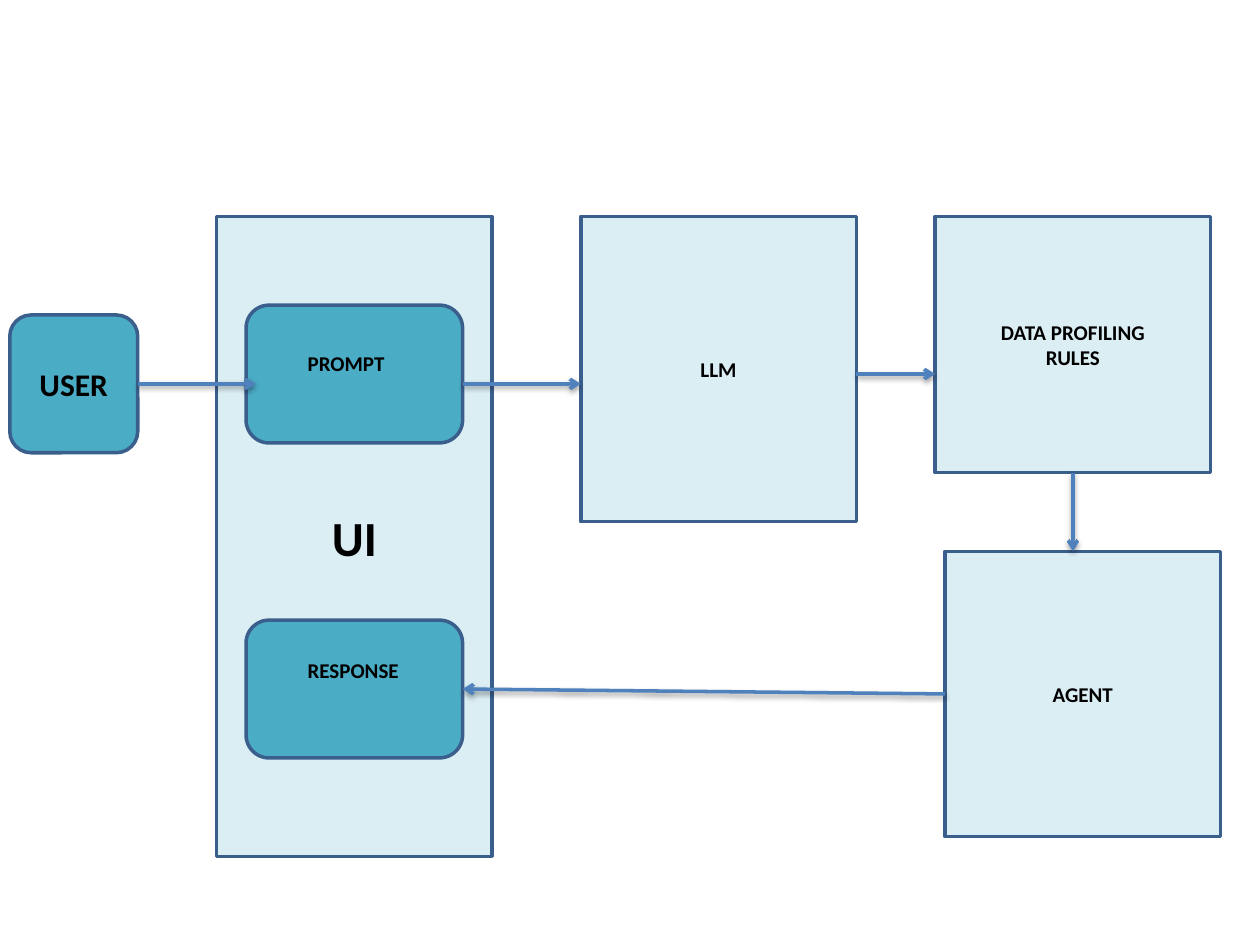
import pptx
import pptx.util
import pptx.dml.color
import pptx.enum.shapes
import pptx.enum.text
import lxml.etree
import pptx.oxml.ns

RGBColor = pptx.dml.color.RGBColor
PALE = RGBColor(0xDB, 0xEE, 0xF4)
TEAL = RGBColor(0x4B, 0xAC, 0xC6)
BORDER = RGBColor(0x3A, 0x5F, 0x8C)
ARROW = RGBColor(0x4F, 0x81, 0xBD)
BLACK = RGBColor(0, 0, 0)

SHAPE = pptx.enum.shapes.MSO_SHAPE
ALIGN = pptx.enum.text.PP_ALIGN
COLUMNS = 128
BLANK_LAYOUT = 6


class FlowDiagram:
    font_format = {"name": "Calibri", "bold": True}
    line_width = pptx.util.Pt(2)

    def __init__(self):
        self.deck = pptx.Presentation()
        self.deck.slide_width = pptx.util.Inches(10)
        self.deck.slide_height = pptx.util.Inches(7.5)
        self.slide = self.deck.slides.add_slide(self.deck.slide_layouts[BLANK_LAYOUT])

    def grid(self, *cells):
        return [round(cell * self.deck.slide_width / COLUMNS) for cell in cells]

    def set_words(self, frame, words, size, align):
        frame.text = words
        for paragraph in frame.paragraphs:
            paragraph.alignment = align
            for run in paragraph.runs:
                for key, value in self.font_format.items():
                    setattr(run.font, key, value)
                run.font.size = pptx.util.Pt(size)
                run.font.color.rgb = BLACK

    def stroke(self, line, color):
        line.color.rgb = color
        line.width = self.line_width

    def box(self, kind, fill, place, words="", size=12):
        box = self.slide.shapes.add_shape(kind, *self.grid(*place))
        box.shadow.inherit = False
        box.fill.solid()
        box.fill.fore_color.rgb = fill
        self.stroke(box.line, BORDER)
        if words:
            box.text_frame.vertical_anchor = pptx.enum.text.MSO_ANCHOR.MIDDLE
            self.set_words(box.text_frame, words, size, ALIGN.CENTER)

    def stage(self, *details):
        self.box(SHAPE.RECTANGLE, PALE, *details)

    def step(self, *details):
        self.box(SHAPE.ROUNDED_RECTANGLE, TEAL, *details)

    def label(self, place, words, size=12):
        label = self.slide.shapes.add_textbox(*self.grid(*place))
        label.text_frame.word_wrap = True
        label.text_frame.auto_size = pptx.enum.text.MSO_AUTO_SIZE.SHAPE_TO_FIT_TEXT
        self.set_words(label.text_frame, words, size, ALIGN.LEFT)

    def arrow(self, *ends):
        arrow = self.slide.shapes.add_connector(
            pptx.enum.shapes.MSO_CONNECTOR.STRAIGHT, *self.grid(*ends))
        self.stroke(arrow.line, ARROW)
        outline = arrow.line.fill._xPr
        lxml.etree.SubElement(outline, pptx.oxml.ns.qn("a:tailEnd"), type="arrow")


def main():
    diagram = FlowDiagram()
    diagram.stage((22, 22, 28, 65), "UI", 28)
    diagram.stage((59, 22, 28, 31), "LLM")
    diagram.stage((96, 56, 28, 29), "AGENT")
    diagram.stage((95, 22, 28, 26), "DATA PROFILING\nRULES")

    for top in (31, 63):
        diagram.step((25, top, 22, 14))
    for top, words in ((35, "PROMPT"), (66.2, "RESPONSE")):
        diagram.label((30, top, 13, 3.9), words)

    diagram.step((1, 32, 13, 14), "USER", 18)
    for ends in ((47, 39, 59, 39), (87, 38, 95, 38), (109, 48, 109, 56),
                 (96, 70.5, 47, 70), (14, 39, 26, 39)):
        diagram.arrow(*ends)

    diagram.deck.save("out.pptx")


if __name__ == "__main__":
    main()
